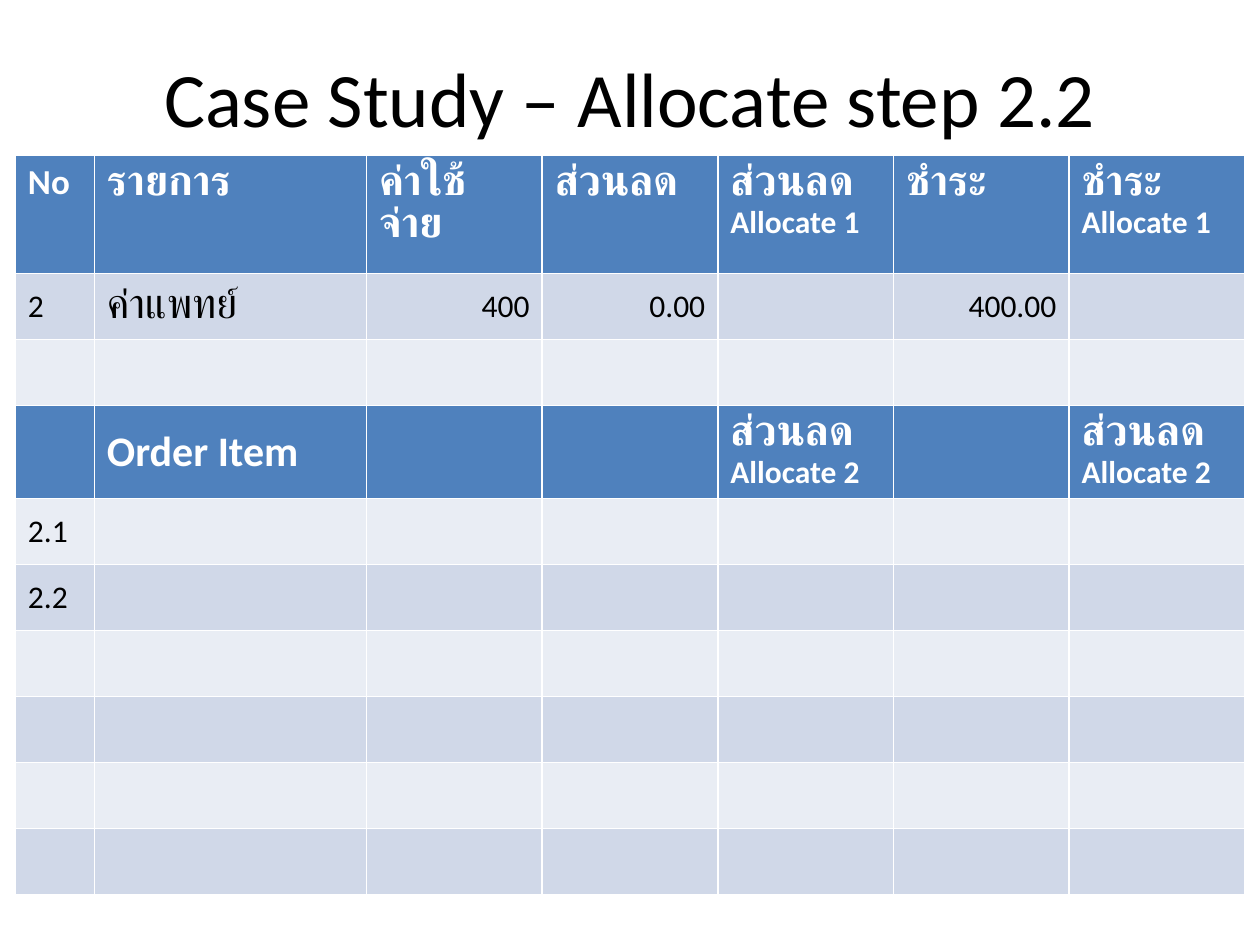
from dataclasses import dataclass

from pptx import Presentation
from pptx.dml.color import RGBColor
from pptx.enum.text import MSO_ANCHOR, PP_ALIGN
from pptx.util import Cm, Pt


@dataclass(frozen=True)
class Theme:
    font: str = "Calibri"
    ink: str = "000000"
    paper: str = "FFFFFF"
    header: str = "4F81BD"
    band_dark: str = "D0D8E8"
    band_light: str = "E9EDF4"
    title: int = 44
    large: int = 24
    label: int = 20
    body: int = 18


class SlideBuilder:
    def __init__(self, slide, theme):
        self.slide = slide
        self.theme = theme

    def style(self, paragraph, size, color, bold=False, align=PP_ALIGN.LEFT):
        paragraph.alignment = align
        font = paragraph.font
        font.name, font.size, font.bold = self.theme.font, Pt(size), bold
        font.color.rgb = RGBColor.from_string(color)

    def title(self, text, left, top, width, height):
        heading = self.slide.shapes.title
        heading.left, heading.top = Cm(left), Cm(top)
        heading.width, heading.height = Cm(width), Cm(height)
        frame = heading.text_frame
        frame.text = text
        frame.vertical_anchor = MSO_ANCHOR.MIDDLE
        self.style(frame.paragraphs[0], self.theme.title, self.theme.ink, align=PP_ALIGN.CENTER)

    def table(self, left, top, widths, heights):
        grid = self.slide.shapes.add_table(
            len(heights), len(widths), Cm(left), Cm(top), Cm(sum(widths)), Cm(sum(heights))
        ).table
        for column, width in zip(grid.columns, widths):
            column.width = Cm(width)
        for row, height in zip(grid.rows, heights):
            row.height = Cm(height)
        return grid

    def cell(self, cell, fill, lines, color, bold, align, anchor):
        cell.fill.solid()
        cell.fill.fore_color.rgb = RGBColor.from_string(fill)
        cell.vertical_anchor = anchor
        cell.text = "\n".join(text for text, _ in lines)
        for paragraph, (_, size) in zip(cell.text_frame.paragraphs, lines):
            self.style(paragraph, size, color, bold, align)


theme = Theme()
deck = Presentation()
deck.slide_width, deck.slide_height = Cm(25.4), Cm(19.05)
builder = SlideBuilder(deck.slides.add_slide(deck.slide_layouts[5]), theme)

# Title
builder.title("Case Study – Allocate step 2.2", 1.27, 0.76, 22.86, 2.36)


# Table content: (row, column) -> lines of (text, size)
def large(text):
    return [(text, theme.large)]


def body(text):
    return [(text, theme.body)]


discount, payment = large("ส่วนลด"), large("ชำระ")
column_heads = [
    [("No", theme.label)], large("รายการ"), large("ค่าใช้จ่าย"), discount,
    discount + body("Allocate 1"), payment, payment + body("Allocate 1"),
]
content = {(0, column): head for column, head in enumerate(column_heads)}
content |= {
    (1, 0): body("2"), (1, 1): large("ค่าแพทย์"),
    (1, 2): body("400"), (1, 3): body("0.00"), (1, 5): body("400.00"),
    (3, 1): large("Order Item"),
    (3, 4): discount + body("Allocate 2"), (3, 6): discount + body("Allocate 2"),
    (4, 0): body("2.1"), (5, 0): body("2.2"),
}

# Table: header rows in blue, the others in alternating bands
HEADER_ROWS = (0, 3)
widths = [1.59, 5.49] + [3.54] * 5
heights = [2.38] + [1.33] * 9
allocation = builder.table(0.31, 3.13, widths, heights)
for row in range(len(heights)):
    is_header = row in HEADER_ROWS
    band = theme.band_dark if row % 2 else theme.band_light
    for column in range(len(widths)):
        is_amount = column >= 2 and not is_header
        builder.cell(
            allocation.cell(row, column),
            fill=theme.header if is_header else band,
            lines=content.get((row, column), body("")),
            color=theme.paper if is_header else theme.ink,
            bold=is_header,
            align=PP_ALIGN.RIGHT if is_amount else PP_ALIGN.LEFT,
            anchor=MSO_ANCHOR.TOP if row == 0 else MSO_ANCHOR.MIDDLE,
        )

deck.save("out.pptx")
